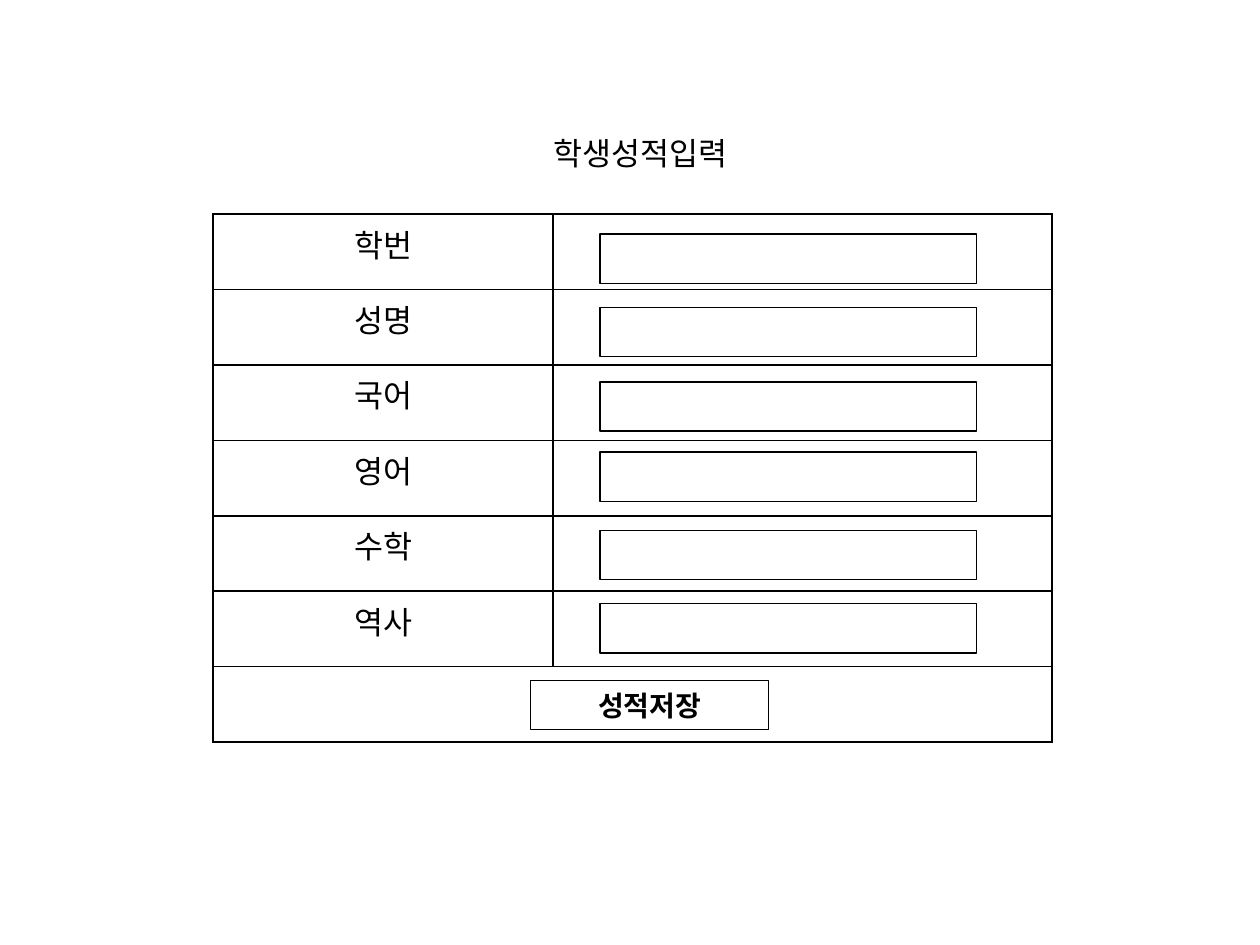
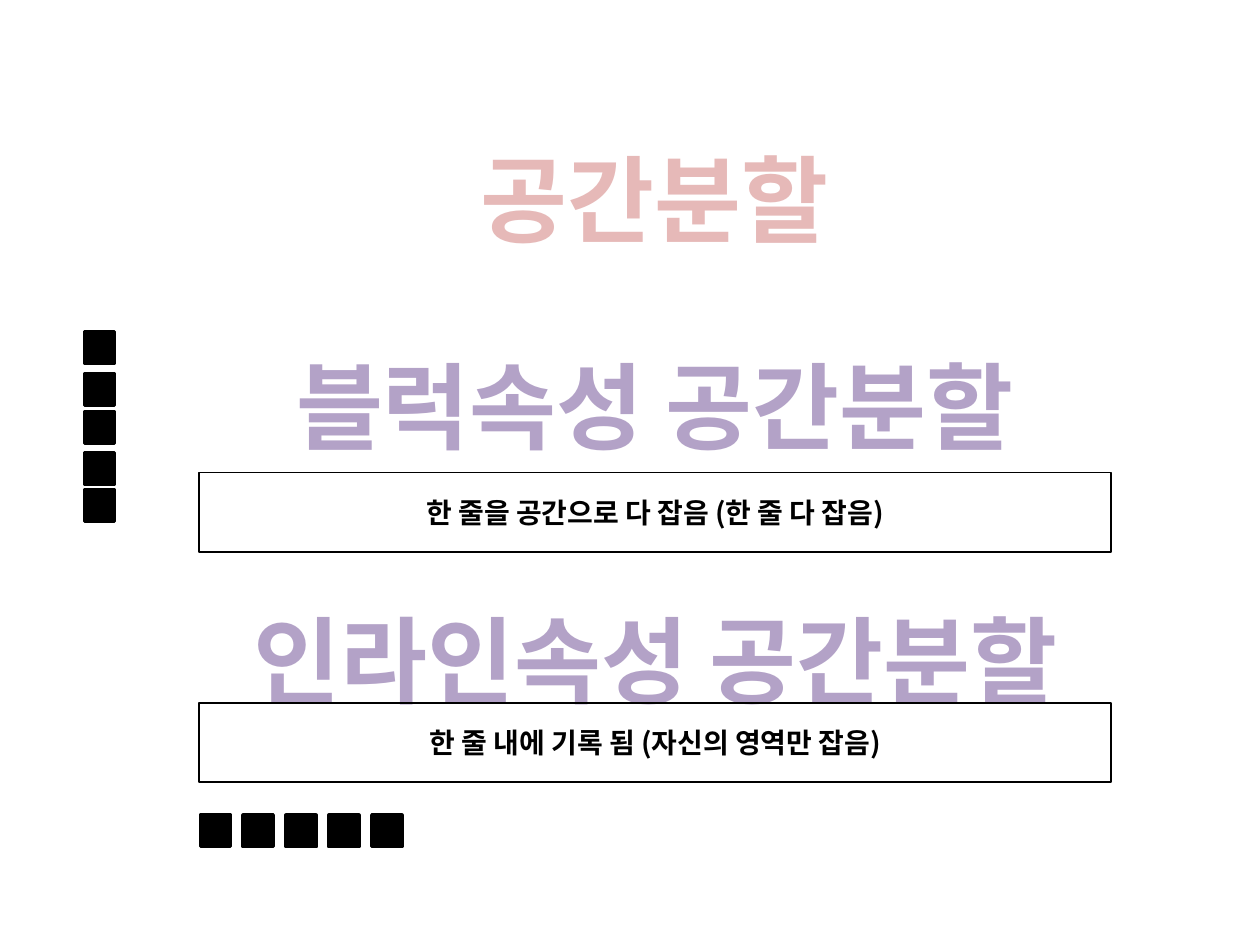
from dataclasses import dataclass
from typing import Any

import lxml.etree
import pptx
import pptx.dml.color
import pptx.enum.shapes
import pptx.enum.text
import pptx.oxml
import pptx.oxml.ns
import pptx.util

Inches = pptx.util.Inches
Pt = pptx.util.Pt
RGBColor = pptx.dml.color.RGBColor
PP_ALIGN = pptx.enum.text.PP_ALIGN
MSO_ANCHOR = pptx.enum.text.MSO_ANCHOR
qn = pptx.oxml.ns.qn

BLACK = RGBColor(0x00, 0x00, 0x00)
ROSE = RGBColor(0xE6, 0xB9, 0xB8)
BRICK = RGBColor(0xC0, 0x50, 0x4D)
PURPLE = RGBColor(0x80, 0x64, 0xA2)
LILAC = RGBColor(0xB3, 0xA2, 0xC7)
PALE_LILAC = RGBColor(0xE6, 0xE0, 0xEC)
HEADING_STOPS = ((0, PURPLE), (4, LILAC), (87, PALE_LILAC))

FONT = "Noto Sans CJK KR"
BODY = {"size": Pt(18), "bold": False}
LABEL = {"size": Pt(16), "bold": True}
DISPLAY = {"size": Pt(54), "bold": True}

SUBJECTS = ("학번", "성명", "국어", "영어", "수학", "역사")
FIELD_TOPS = (1.86, 2.44, 3.03, 3.59, 4.21, 4.79)
BLOCK_TOPS = (2.63, 2.97, 3.27, 3.59, 3.89)
INLINE_COUNT = 5


@dataclass(frozen=True)
class Area:
    left: float
    top: float
    width: float
    height: float

    def lengths(self) -> tuple:
        return tuple(Inches(v) for v in (self.left, self.top, self.width, self.height))


@dataclass(frozen=True)
class Section:
    heading: str
    heading_area: Area
    explanation: str
    explanation_area: Area


SECTIONS = (
    Section("블럭속성 공간분할", Area(1.93, 2.71, 6.53, 1.01),
            "한 줄을 공간으로 다 잡음 (한 줄 다 잡음)", Area(1.58, 3.75, 7.24, 0.63)),
    Section("인라인속성 공간분할", Area(1.56, 4.73, 7.28, 1.01),
            "한 줄 내에 기록 됨 (자신의 영역만 잡음)", Area(1.58, 5.58, 7.24, 0.63)),
)


def apply(target: Any, values: dict) -> None:
    for key, value in values.items():
        setattr(target, key, value)


def solid_line(tag: str, color: RGBColor, points: float) -> Any:
    line = pptx.oxml.parse_xml(
        f'<a:{tag} {pptx.oxml.ns.nsdecls("a")} w="{int(Pt(points))}">'
        f'<a:solidFill><a:srgbClr val="{color}"/></a:solidFill></a:{tag}>')
    return line


def write(frame: Any, text: str, style: dict, align: Any = PP_ALIGN.CENTER,
          color: RGBColor = BLACK) -> Any:
    paragraph = frame.paragraphs[0]
    paragraph.alignment = align
    run = paragraph.add_run()
    run.text = text
    apply(run.font, {"name": FONT, **style})
    run.font.color.rgb = color
    properties = run._r.get_or_add_rPr()
    lxml.etree.SubElement(properties, qn("a:ea")).set("typeface", FONT)
    return properties


def fit_frame(frame: Any, wrap: bool) -> None:
    apply(frame, {"word_wrap": wrap, "vertical_anchor": MSO_ANCHOR.TOP,
                  "auto_size": pptx.enum.text.MSO_AUTO_SIZE.SHAPE_TO_FIT_TEXT})


def add_title(slide: Any, text: str, area: Area, style: dict, align: Any,
              color: RGBColor, wrap: bool) -> Any:
    title = slide.shapes.title
    apply(title, dict(zip(("left", "top", "width", "height"), area.lengths())))
    fit_frame(title.text_frame, wrap)
    return write(title.text_frame, text, style, align, color)


def add_heading(slide: Any, text: str, area: Area) -> None:
    frame = slide.shapes.add_textbox(*area.lengths()).text_frame
    fit_frame(frame, False)
    properties = write(frame, text, DISPLAY)
    stops = "".join(f'<a:gs pos="{percent * 1000}"><a:srgbClr val="{color}"/></a:gs>'
                    for percent, color in HEADING_STOPS)
    gradient = pptx.oxml.parse_xml(
        f'<a:gradFill {pptx.oxml.ns.nsdecls("a")}><a:gsLst>{stops}</a:gsLst>'
        '<a:lin ang="5400000"/></a:gradFill>')
    properties.replace(properties.find(qn("a:solidFill")), gradient)
    properties.insert(0, solid_line("ln", PURPLE, 1))


def add_box(slide: Any, area: Area, text: str = "", filled: bool = False) -> None:
    box = slide.shapes.add_shape(
        pptx.enum.shapes.MSO_SHAPE.RECTANGLE, *area.lengths())
    box.shadow.inherit = False
    box.line.color.rgb = BLACK
    box.line.width = Pt(2 if filled else 1)
    if filled:
        box.fill.solid()
        box.fill.fore_color.rgb = BLACK
    else:
        box.fill.background()
    if text:
        apply(box.text_frame, {"word_wrap": True, "vertical_anchor": MSO_ANCHOR.MIDDLE})
        write(box.text_frame, text, LABEL)


def add_score_table(slide: Any) -> None:
    row_count = len(SUBJECTS) + 1
    table = slide.shapes.add_table(
        row_count, 2, *Area(1.69, 1.7, 6.66, 4.19).lengths()).table
    apply(table, {"first_row": False, "horz_banding": False})
    for column, width in zip(table.columns, (2.7, 3.96)):
        column.width = Inches(width)
    for row in table.rows:
        row.height = Inches(4.19 / row_count)
    for cell in table.iter_cells():
        cell.fill.background()
        properties = cell._tc.get_or_add_tcPr()
        for position, side in enumerate(("lnL", "lnR", "lnT", "lnB")):
            properties.insert(position, solid_line(side, BLACK, 1))
    for row, subject in enumerate(SUBJECTS):
        write(table.cell(row, 0).text_frame, subject, BODY)
    table.cell(row_count - 1, 0).merge(table.cell(row_count - 1, 1))


def build_score_form(slide: Any) -> None:
    add_title(slide, "학생성적입력", Area(4.29, 1.01, 3.46, 0.4), BODY,
              PP_ALIGN.LEFT, BLACK, True)
    add_score_table(slide)
    add_box(slide, Area(4.21, 5.4, 1.89, 0.39), "성적저장")
    for top in FIELD_TOPS:
        add_box(slide, Area(4.76, top, 2.99, 0.39))


def build_space_division(slide: Any) -> None:
    properties = add_title(slide, "공간분할", Area(3.58, 1.07, 3.23, 1.01), DISPLAY,
                           PP_ALIGN.CENTER, ROSE, False)
    properties.insert(0, solid_line("ln", BRICK, 1.75))
    for section in SECTIONS:
        add_heading(slide, section.heading, section.heading_area)
        add_box(slide, section.explanation_area, section.explanation)
    stacked = [(0.67, top) for top in BLOCK_TOPS]
    in_line = [(1.59 + 0.34 * step, 6.47) for step in range(INLINE_COUNT)]
    for left, top in stacked + in_line:
        add_box(slide, Area(left, top, 0.24, 0.25), filled=True)


def main() -> None:
    deck = pptx.Presentation()
    apply(deck, {"slide_width": Inches(10), "slide_height": Inches(7.5)})
    title_only = deck.slide_layouts[5]
    for build in (build_score_form, build_space_division):
        build(deck.slides.add_slide(title_only))
    deck.save("out.pptx")


main()
